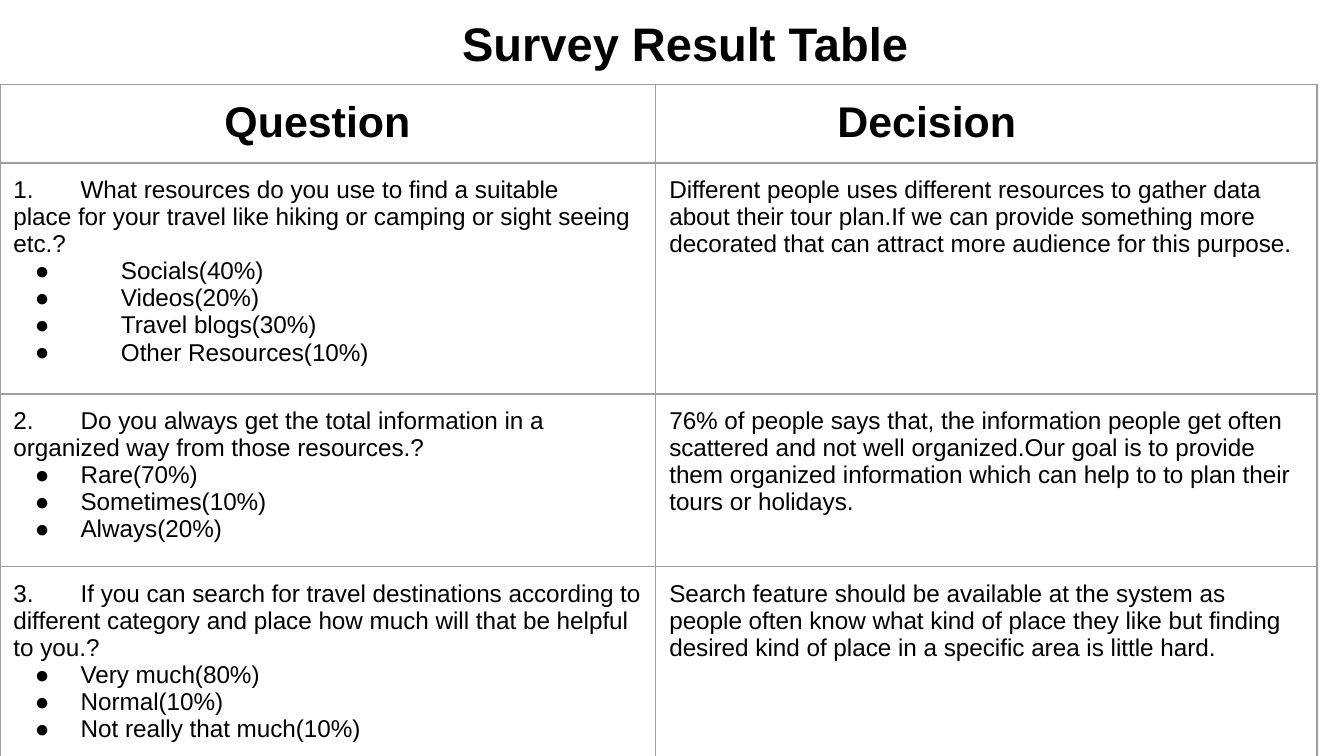
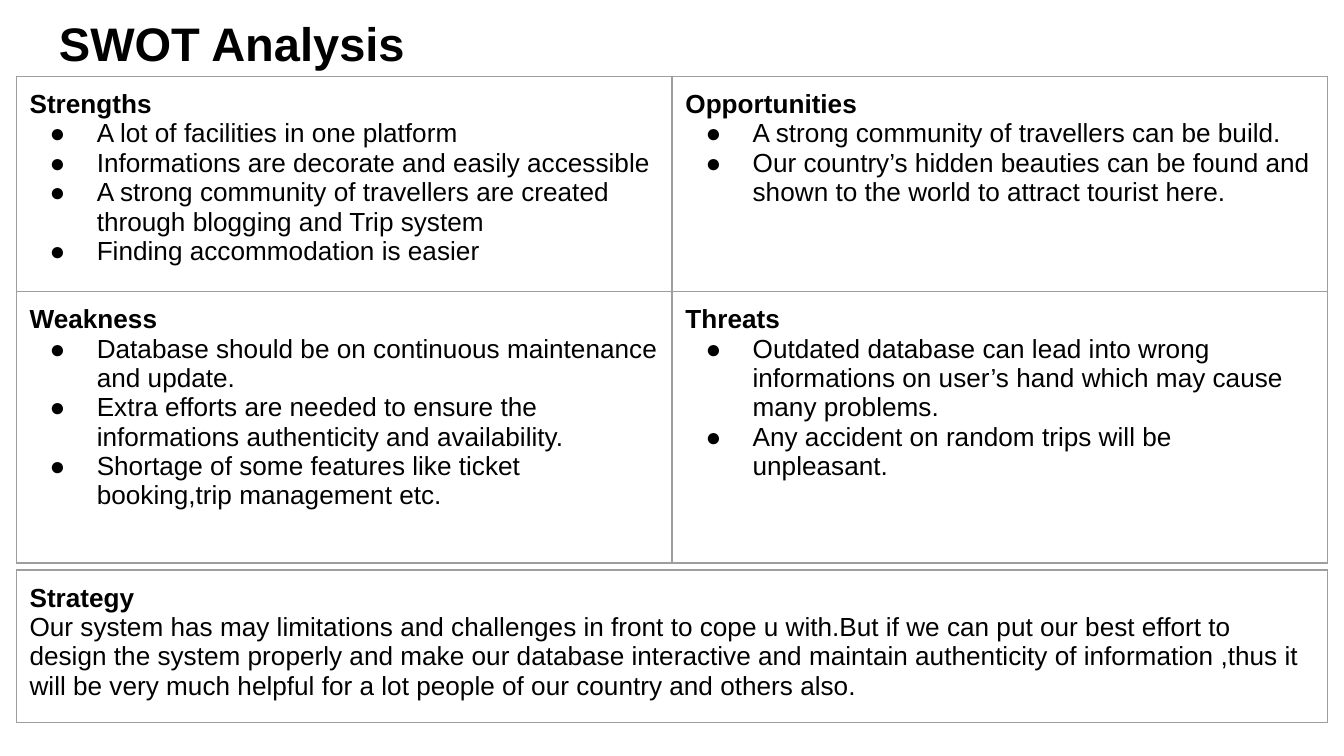
from dataclasses import dataclass
from typing import Any

import lxml.etree
import pptx
import pptx.dml.color
import pptx.enum.text
import pptx.oxml.ns
import pptx.slide
import pptx.table
import pptx.text.text
import pptx.util

WIDE = pptx.util.Inches(10)
TALL = pptx.util.Inches(5.625)
COL = WIDE / 100
ROW = TALL / 100
BLACK = pptx.dml.color.RGBColor(0x00, 0x00, 0x00)
GREY = pptx.dml.color.RGBColor(0x9E, 0x9E, 0x9E)
FONT = "Arial"
PAD = 1
EDGE = 0.75
LEFT = 1.2
HALF = 48.8
TITLE = 25.2
HEAD = 23
SMALL = 13
BODY = 14


@dataclass(frozen=True)
class Line:
    text: str
    size: float = BODY
    bold: bool = False
    left: float = 0
    hang: float = 0
    tab: float = 0


@dataclass(frozen=True)
class Grid:
    left: float
    top: float
    cols: list[float]
    rows: list[float]
    cells: list[list[list[Line]]]


def across(cols: float) -> int:
    return round(cols * COL)


def down(rows: float) -> int:
    return round(rows * ROW)


def add(node: Any, tag: str, **vals: str) -> Any:
    return lxml.etree.SubElement(node, pptx.oxml.ns.qn(tag), vals)


def apply(thing: Any, vals: dict[str, Any]) -> None:
    for name, val in vals.items():
        setattr(thing, name, val)


def pad(name: str) -> dict[str, int]:
    return {f"{name}_{side}": across(PAD) for side in ("left", "top", "right", "bottom")}


def write(frame: pptx.text.text.TextFrame, lines: list[Line]) -> None:
    for spot, line in enumerate(lines):
        para = frame.add_paragraph() if spot else frame.paragraphs[0]
        run = para.add_run()
        run.text = line.text
        apply(run.font, {"name": FONT, "size": pptx.util.Pt(line.size), "bold": line.bold})
        run.font.color.rgb = BLACK
        props = para._p.get_or_add_pPr()
        props.set("marL", str(across(line.left)))
        props.set("indent", str(-across(line.hang)))
        if line.hang:
            add(add(props, "a:buClr"), "a:srgbClr", val=str(BLACK))
            add(props, "a:buFont", typeface=FONT)
            add(props, "a:buChar", char="●")
        else:
            add(props, "a:buNone")
        if line.tab:
            add(add(props, "a:tabLst"), "a:tab", pos=str(across(line.tab)), algn="l")


def draw_title(slide: pptx.slide.Slide, text: str, left: float = 0) -> None:
    box = slide.shapes.add_textbox(across(3.4), 0, across(93.2), down(11.2))
    frame = box.text_frame
    apply(frame, {"word_wrap": True, "vertical_anchor": pptx.enum.text.MSO_ANCHOR.BOTTOM,
                  **pad("margin")})
    write(frame, [Line(text, TITLE, True, left)])


def draw_cell(cell: pptx.table._Cell, lines: list[Line]) -> None:
    apply(cell, pad("margin"))
    write(cell.text_frame, lines)
    props = cell._tc.get_or_add_tcPr()
    for side in "LRTB":
        edge = add(props, f"a:ln{side}", w=str(pptx.util.Pt(EDGE)))
        add(add(edge, "a:solidFill"), "a:srgbClr", val=str(GREY))
    cell.fill.background()


def draw_grid(slide: pptx.slide.Slide, grid: Grid) -> None:
    table = slide.shapes.add_table(
        len(grid.rows), len(grid.cols), across(grid.left), down(grid.top),
        across(sum(grid.cols)), down(sum(grid.rows))).table
    apply(table, {"first_row": False, "horz_banding": False})
    for col, size in zip(table.columns, grid.cols):
        col.width = across(size)
    for row, size, cells in zip(table.rows, grid.rows, grid.cells):
        row.height = down(size)
        for cell, lines in zip(row.cells, cells):
            draw_cell(cell, lines)


def heads(*pairs: tuple[str, float]) -> list[list[Line]]:
    return [[Line(text, HEAD, True, left)] for text, left in pairs]


def survey(asks: list[str], picks: list[str], plan: str,
           tab: float = 3, left: float = 5) -> list[list[Line]]:
    lines = [Line(text, SMALL, tab=tab) for text in asks]
    lines += [Line(text, SMALL, left=left, hang=left - 1.6) for text in picks]
    return [lines, [Line(plan, SMALL)]]


def topic(name: str, *points: str) -> list[Line]:
    return [Line(name, bold=True)] + [Line(text, left=5, hang=3.5) for text in points]


RESULTS = Grid(0, 11.2, [HALF, 49.2], [10.2, 30, 22.4, 26.3], [
    heads(("Question", 15.7), ("Decision", 12.5)),
    survey(["1.\tWhat resources do you use to find a suitable",
            "place for your travel like hiking or camping or sight seeing etc.?"],
           ["Socials(40%)", "Videos(20%)", "Travel blogs(30%)", "Other Resources(10%)"],
           "Different people uses different resources to gather data about their tour plan."
           "If we can provide something more decorated that can attract more audience "
           "for this purpose.", 3.5, 8),
    survey(["2.\tDo you always get the total information in a organized way "
            "from those resources.?"],
           ["Rare(70%)", "Sometimes(10%)", "Always(20%)"],
           "76% of people says that, the information people get often scattered and not "
           "well organized.Our goal is to provide them organized information which can "
           "help to to plan their tours or holidays."),
    survey(["3.\tIf you can search for travel destinations according to different "
            "category and place how much will that be helpful to you.?"],
           ["Very much(80%)", "Normal(10%)", "Not really that much(10%)"],
           "Search feature should be available at the system as people often know what "
           "kind of place they like but finding desired kind of place in a specific area "
           "is little hard."),
])

SWOT = Grid(LEFT, 10.1, [HALF] * 2, [27.7, 35.9], [
    [topic("Strengths",
           "A lot of facilities in one platform",
           "Informations are decorate and easily accessible",
           "A strong community of travellers are created through blogging and Trip system",
           "Finding accommodation is easier"),
     topic("Opportunities",
           "A strong community of travellers can be build.",
           "Our country’s hidden beauties can be found and shown to the world to attract "
           "tourist here.")],
    [topic("Weakness",
           "Database should be on continuous maintenance and update.",
           "Extra efforts are needed to ensure the informations authenticity and "
           "availability.",
           "Shortage of some features like ticket booking,trip management etc."),
     topic("Threats",
           "Outdated database can lead into wrong informations on user’s hand which may "
           "cause many problems.",
           "Any accident on random trips will be unpleasant.")],
])

PLAN = Grid(LEFT, 75.4, [2 * HALF], [16], [[topic("Strategy") + [Line(
    "Our system has may limitations and challenges in front to cope u with.But if we can "
    "put our best effort to design the system properly and make our database interactive "
    "and maintain authenticity of information ,thus it will be very much helpful for a lot "
    "people of our country and others also.")]]])


def main() -> None:
    deck = pptx.Presentation()
    apply(deck, {"slide_width": WIDE, "slide_height": TALL})
    for title, left, grids in (("Survey Result Table", 30, [RESULTS]),
                               ("SWOT Analysis", 0, [SWOT, PLAN])):
        slide = deck.slides.add_slide(deck.slide_layouts[6])
        draw_title(slide, title, left)
        for grid in grids:
            draw_grid(slide, grid)
    deck.save("out.pptx")


if __name__ == "__main__":
    main()
